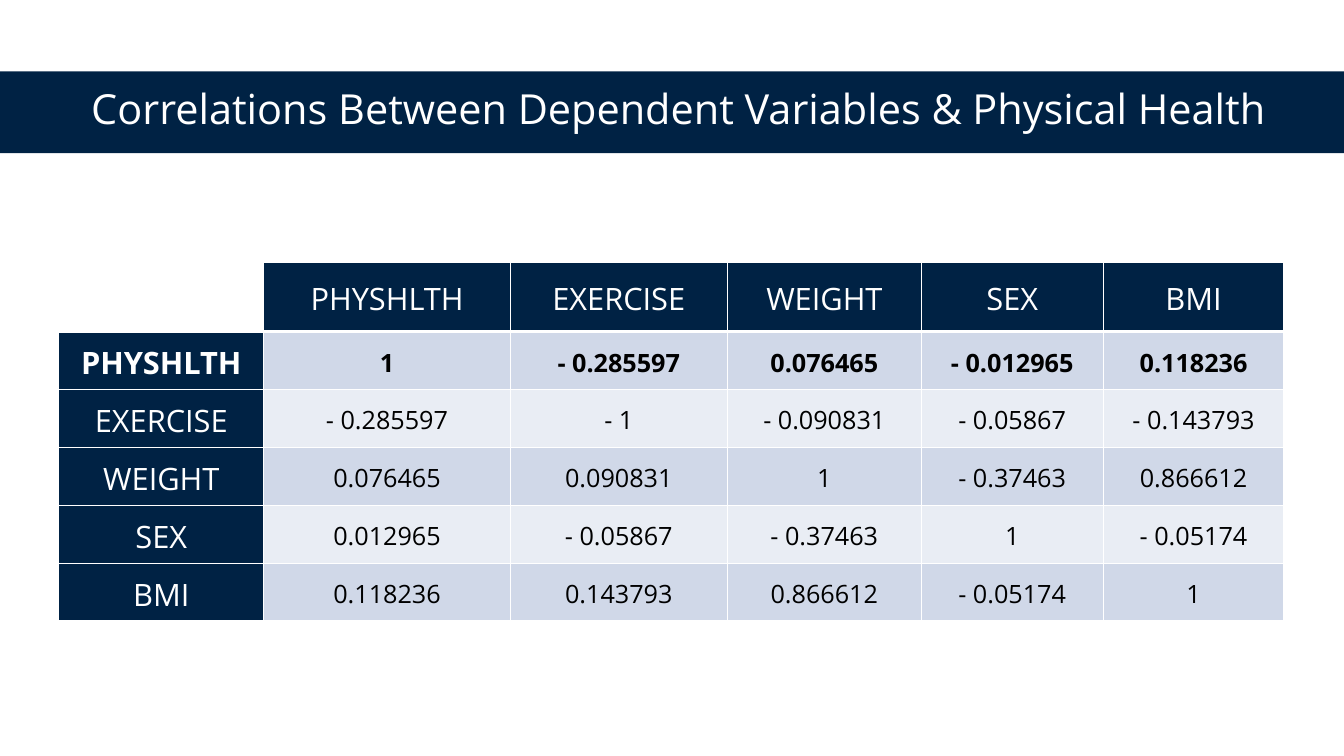
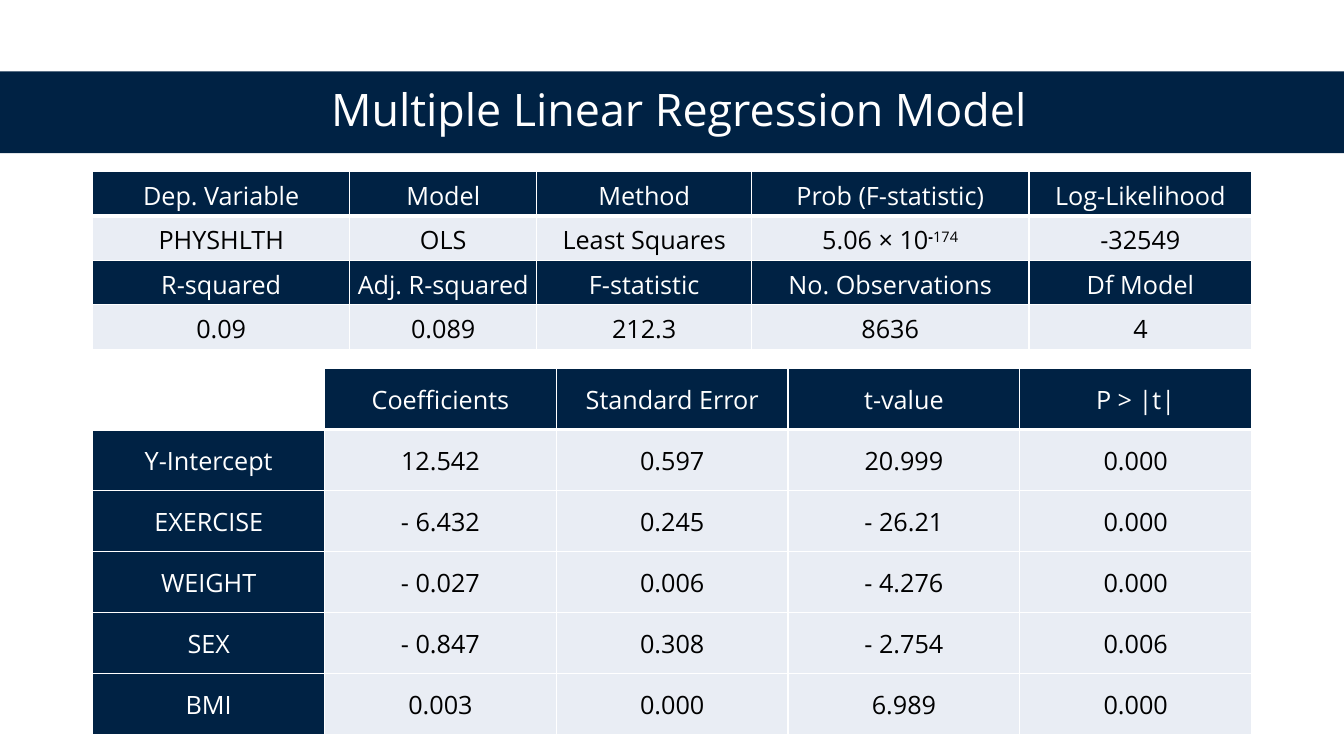
from dataclasses import dataclass

from lxml import etree
from pptx import Presentation
from pptx.dml.color import RGBColor
from pptx.enum.shapes import MSO_SHAPE
from pptx.enum.text import MSO_ANCHOR, PP_ALIGN
from pptx.oxml.ns import qn
from pptx.util import Cm, Pt

RECT = MSO_SHAPE.RECTANGLE
MIDDLE = MSO_ANCHOR.MIDDLE
CENTER = PP_ALIGN.CENTER


@dataclass(frozen=True)
class Theme:
    font: str = "Open Sans"
    navy: str = "002244"
    white: str = "FFFFFF"
    black: str = "000000"
    band_dark: str = "D0D8E8"
    band_light: str = "E9EDF4"
    label_size: float = 22
    body_size: float = 18
    rule: float = 1
    header_rule: float = 3


THEME = Theme()

# Content: a cell is a string, or a (base, sign, exponent) tuple
CORRELATIONS = [
    ["", "PHYSHLTH", "EXERCISE", "WEIGHT", "SEX", "BMI"],
    ["PHYSHLTH", "1", "- 0.285597", "0.076465", "- 0.012965", "0.118236"],
    ["EXERCISE", "- 0.285597", "- 1", "- 0.090831", "- 0.05867", "- 0.143793"],
    ["WEIGHT", "0.076465", "0.090831", "1", "- 0.37463", "0.866612"],
    ["SEX", "0.012965", "- 0.05867", "- 0.37463", "1", "- 0.05174"],
    ["BMI", "0.118236", "0.143793", "0.866612", "- 0.05174", "1"],
]
MODEL_SUMMARY = [
    ["Dep. Variable", "Model", "Method", "Prob (F-statistic)", "Log-Likelihood"],
    ["PHYSHLTH", "OLS", "Least Squares", ("5.06 × 10", "-", "174"), "-32549"],
    ["R-squared", "Adj. R-squared", "F-statistic", "No. Observations", "Df Model"],
    ["0.09", "0.089", "212.3", "8636", "4"],
]
COEFFICIENTS = [
    ["", "Coefficients", "Standard Error", "t-value", "P > |t|"],
    ["Y-Intercept", "12.542", "0.597", "20.999", "0.000"],
    ["EXERCISE", "- 6.432", "0.245", "- 26.21", "0.000"],
    ["WEIGHT", "- 0.027", "0.006", "- 4.276", "0.000"],
    ["SEX", "- 0.847", "0.308", "- 2.754", "0.006"],
    ["BMI", "0.003", "0.000", "6.989", "0.000"],
]

# Slides: title, title size, tables (lengths in cm)
SLIDES = [
    ("Correlations Between Dependent Variables & Physical Health", 29.6, [
        dict(rows=CORRELATIONS, left=1.48, top=6.62,
             widths=[5.17, 6.21, 5.47, 4.89, 4.58, 4.56],
             heights=[1.73] + [1.46] * 5, label_column=True, bold_row=1,
             label_size=THEME.label_size,
             bands=(THEME.band_light, THEME.band_dark)),
    ]),
    ("Multiple Linear Regression Model", 32, [
        dict(rows=MODEL_SUMMARY, left=2.34, top=4.32,
             widths=[6.47, 4.72, 5.41, 6.99, 5.62], heights=[1.12] * 4,
             header_rows=(0, 2)),
        dict(rows=COEFFICIENTS, left=2.34, top=9.28, widths=[5.84] * 5,
             heights=[1.54] * 6, label_column=True, margin=0.03),
    ]),
]


def rgb(value):
    return RGBColor.from_string(value)


def style_paragraph(p, size, color, bold=False):
    p.alignment = CENTER
    p.font.name = THEME.font
    p.font.size = Pt(size)
    p.font.bold = bold
    p.font.color.rgb = rgb(color)


def add_title(s, text, size):
    sp = s.shapes.add_shape(RECT, 0, Cm(1.8), prs.slide_width, Cm(2.06))
    sp.shadow.inherit = False
    sp.fill.solid()
    sp.fill.fore_color.rgb = rgb(THEME.navy)
    sp.line.fill.background()

    tf = s.shapes.add_textbox(Cm(1.55), Cm(1.78), Cm(31.14), Cm(2.06)).text_frame
    tf.word_wrap = True
    tf.vertical_anchor = MIDDLE
    p = tf.paragraphs[0]
    p.text = text
    p.line_spacing = 0.9
    p.space_after = Pt(6)
    style_paragraph(p, size, THEME.white)


def set_borders(cell, row):
    top = THEME.header_rule if row == 1 else THEME.rule
    bottom = THEME.header_rule if row == 0 else THEME.rule
    tc_pr = cell._tc.get_or_add_tcPr()
    for side, width in zip("LRTB", (THEME.rule, THEME.rule, top, bottom)):
        ln = etree.SubElement(tc_pr, qn("a:ln" + side), w=str(Pt(width)))
        fill = etree.SubElement(ln, qn("a:solidFill"))
        etree.SubElement(fill, qn("a:srgbClr"), val=THEME.white)


def write_cell(p, content):
    if isinstance(content, str):
        p.text = content
        return
    for i, part in enumerate(content):
        r = p.add_run()
        r.text = part
        if i:
            r.font.bold = part == "-"
            r._r.get_or_add_rPr().set("baseline", "30000")


def add_table(s, rows, left, top, widths, heights, header_rows=(0,),
              label_column=False, bold_row=None, label_size=THEME.body_size,
              bands=(THEME.band_light,), margin=0.1):
    table = s.shapes.add_table(len(rows), len(widths), Cm(left), Cm(top),
                               Cm(sum(widths)), Cm(sum(heights))).table
    for column, width in zip(table.columns, widths):
        column.width = Cm(width)
    for i, (row, height) in enumerate(zip(rows, heights)):
        table.rows[i].height = Cm(height)
        for j, content in enumerate(row):
            cell = table.cell(i, j)
            is_label = i in header_rows or (label_column and j == 0)
            set_borders(cell, i)
            cell.fill.solid()
            if not content:
                color = THEME.white
            elif is_label:
                color = THEME.navy
            else:
                color = bands[i % len(bands)]
            cell.fill.fore_color.rgb = rgb(color)
            cell.vertical_anchor = MIDDLE
            cell.margin_left = cell.margin_right = cell.margin_top = Cm(margin)
            cell.margin_bottom = 0
            p = cell.text_frame.paragraphs[0]
            write_cell(p, content)
            style_paragraph(p, label_size if is_label else THEME.body_size,
                            THEME.white if is_label else THEME.black,
                            i == bold_row)


# Build
prs = Presentation()
prs.slide_width, prs.slide_height = Cm(33.87), Cm(19.05)
for title, title_size, tables in SLIDES:
    s = prs.slides.add_slide(prs.slide_layouts[6])
    add_title(s, title, title_size)
    for table_data in tables:
        add_table(s, **table_data)
prs.save("out.pptx")
